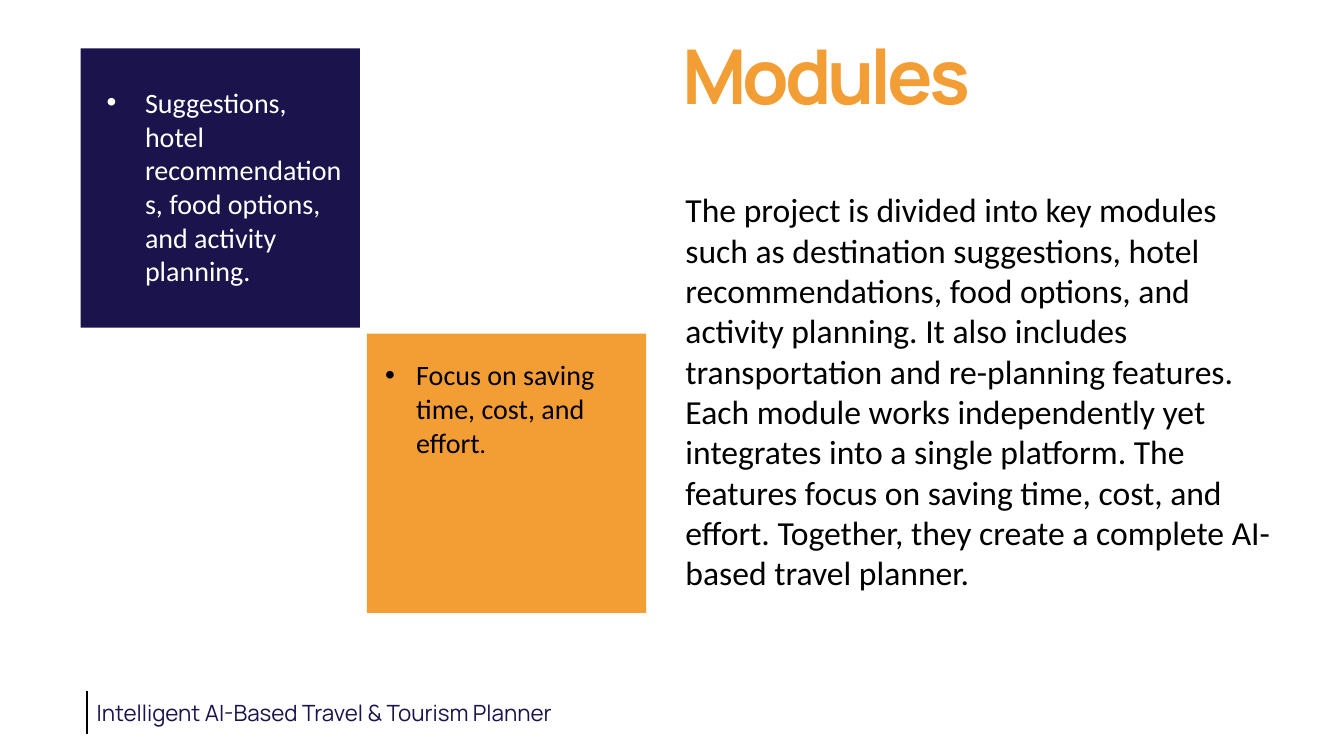
"""Build the Modules slide of the travel planner deck."""
from dataclasses import dataclass

from lxml.etree import SubElement
from pptx import Presentation
from pptx.dml.color import RGBColor
from pptx.enum.shapes import MSO_CONNECTOR as CONN, MSO_SHAPE as SHAPE
from pptx.oxml.ns import qn
from pptx.slide import Slide
from pptx.util import Pt

EMU_PER_PX = 9144
COLORS = {"navy": "1B134C", "orange": "F39E34", "white": "FFFFFF", "black": "000000"}


@dataclass(frozen=True)
class Tile:
    left: int
    top: int
    side: int
    color: str


@dataclass(frozen=True)
class Label:
    left: int
    top: int
    width: int
    height: int
    runs: tuple[tuple[str, int], ...]
    color: str
    font: str = "Calibri"
    bold: bool = False
    indent: int = 0
    line_spacing: float = 1.0
    tracking: int = 0


TILES = [Tile(80, 48, 277, "navy"), Tile(364, 331, 277, "orange")]

LABELS = [
    Label(96, 80, 261, 236, (
        ("Suggestions, hotel recommendations, food options, and activity planning.", 20),
    ), "white", indent=38),
    Label(372, 350, 261, 111, (
        ("Focus on saving time, cost, and effort", 20), (".", 18),
    ), "black", indent=31),
    Label(667, 48, 660, 79, (("Modules", 54),), "orange", "Manrope",
          bold=True, line_spacing=0.7, tracking=-300),
    Label(670, 183, 612, 414, ((
        "The project is divided into key modules such as destination suggestions, "
        "hotel recommendations, food options, and activity planning. It also includes "
        "transportation and re-planning features. Each module works independently yet "
        "integrates into a single platform. The features focus on saving time, cost, "
        "and effort. Together, they create a complete AI-based travel planner.", 24),
    ), "black"),
    Label(86, 689, 525, 37, (
        ("Intelligent AI-Based Travel & Tourism Planner", 16),
    ), "navy", "Manrope"),
]


def px(n: int) -> int:
    return n * EMU_PER_PX


def rgb(name: str) -> RGBColor:
    return RGBColor.from_string(COLORS[name])


def draw_tile(s: Slide, tile: Tile) -> None:
    sp = s.shapes.add_shape(SHAPE.RECTANGLE, px(tile.left), px(tile.top),
                            px(tile.side), px(tile.side))
    sp.shadow.inherit = False
    sp.fill.solid()
    sp.fill.fore_color.rgb = rgb(tile.color)
    sp.line.fill.background()


def draw_label(s: Slide, label: Label) -> None:
    sp = s.shapes.add_textbox(px(label.left), px(label.top),
                              px(label.width), px(label.height))
    tf = sp.text_frame
    tf.word_wrap = True
    p = tf.paragraphs[0]
    p.line_spacing = label.line_spacing
    if label.indent:
        pPr = p._p.get_or_add_pPr()
        pPr.set("marL", str(px(label.indent)))
        pPr.set("indent", str(-px(label.indent)))
        SubElement(pPr, qn("a:buFont")).set("typeface", "Arial")
        SubElement(pPr, qn("a:buChar")).set("char", "•")
    for text, size in label.runs:
        r = p.add_run()
        r.text = text
        r.font.size = Pt(size)
        r.font.name = label.font
        r.font.bold = label.bold
        r.font.color.rgb = rgb(label.color)
        if label.tracking:
            r._r.get_or_add_rPr().set("spc", str(label.tracking))


def draw_footer_bar(s: Slide, x: int, top: int, bottom: int) -> None:
    bar = s.shapes.add_connector(CONN.STRAIGHT, px(x), px(top), px(x), px(bottom))
    bar.line.color.rgb = rgb("black")
    bar.line.width = Pt(1.5)
    SubElement(bar._element.spPr, qn("a:effectLst"))


def main() -> None:
    prs = Presentation()
    prs.slide_width, prs.slide_height = px(1333), px(750)
    s = prs.slides.add_slide(prs.slide_layouts[6])
    for tile in TILES:
        draw_tile(s, tile)
    for label in LABELS:
        draw_label(s, label)
    draw_footer_bar(s, 86, 686, 728)
    prs.save("out.pptx")


if __name__ == "__main__":
    main()
